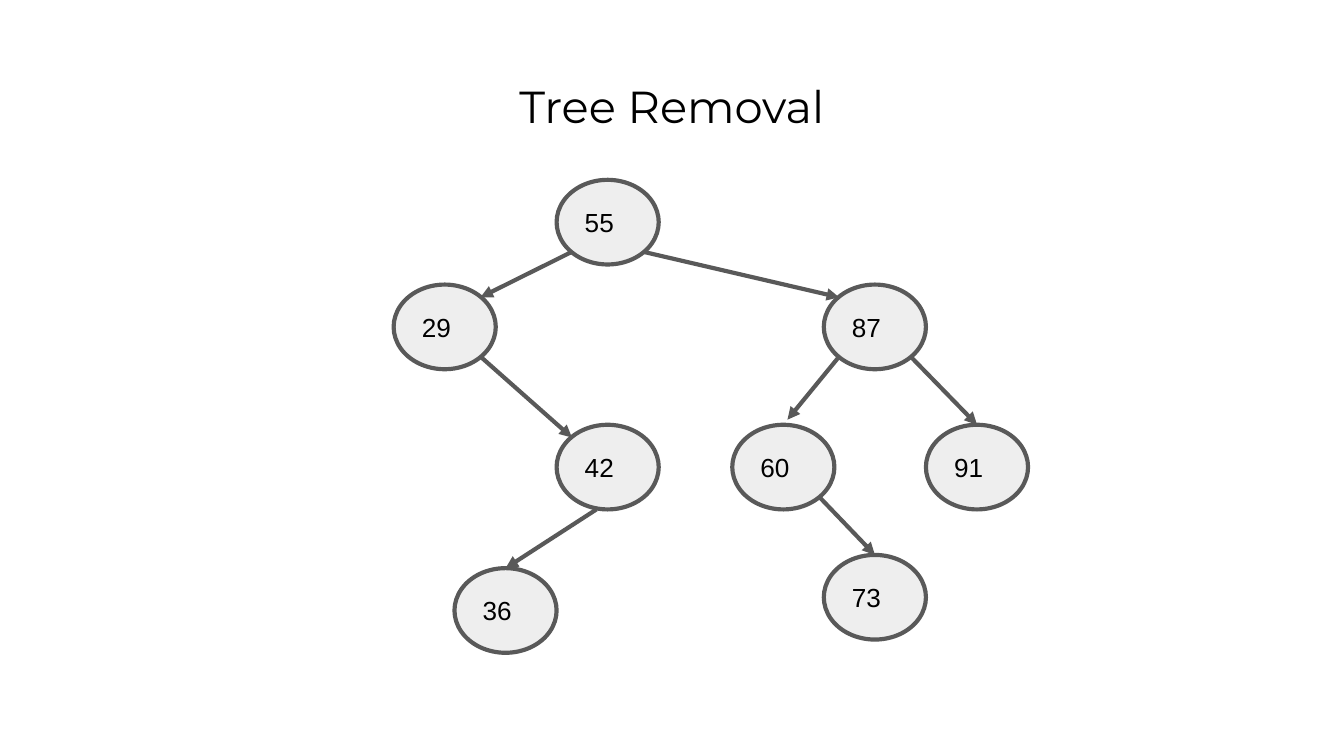
from dataclasses import dataclass

from lxml import etree
from pptx import Presentation
from pptx import util as u
from pptx.dml.color import RGBColor
from pptx.enum import shapes, text
from pptx.oxml.ns import qn

NODE_WIDTH, NODE_HEIGHT = 1.93, 1.6
INK, OUTLINE, FILL = "000000", "595959", "EEEEEE"

# Anchor points as fractions of a node's width and height
TOP = (0.5, 0)
TOP_LEFT, TOP_RIGHT = (0.15, 0.15), (0.85, 0.15)
BOTTOM_LEFT, BOTTOM_RIGHT = (0.15, 0.85), (0.85, 0.85)
BOTTOM_INNER = (0.39, 1)
ABOVE = (0.54, -0.06)


@dataclass(frozen=True)
class Node:
    value: int
    left: float
    top: float

    def point(self, anchor: tuple) -> tuple:
        return (u.Cm(self.left + anchor[0] * NODE_WIDTH),
                u.Cm(self.top + anchor[1] * NODE_HEIGHT))


@dataclass(frozen=True)
class Edge:
    parent: int
    leaves: tuple
    child: int
    enters: tuple


NODES = [
    Node(55, 10.52, 3.4),
    Node(29, 7.44, 5.38),
    Node(42, 10.52, 8.03),
    Node(36, 8.59, 10.74),
    Node(87, 15.57, 5.38),
    Node(60, 13.84, 8.03),
    Node(91, 17.5, 8.03),
    Node(73, 15.57, 10.49),
]

EDGES = [
    Edge(55, BOTTOM_LEFT, 29, TOP_RIGHT),
    Edge(29, BOTTOM_RIGHT, 42, TOP_LEFT),
    Edge(42, BOTTOM_INNER, 36, TOP),
    Edge(55, BOTTOM_RIGHT, 87, TOP_LEFT),
    Edge(87, BOTTOM_LEFT, 60, ABOVE),
    Edge(87, BOTTOM_RIGHT, 91, TOP),
    Edge(60, BOTTOM_RIGHT, 73, TOP),
]


def color(value: str) -> RGBColor:
    return RGBColor.from_string(value)


def write(shape, words: str, size: float, font: str, align, anchor) -> None:
    frame = shape.text_frame
    frame.text = words
    frame.word_wrap = True
    frame.vertical_anchor = anchor
    frame.margin_left = frame.margin_right = u.Cm(0.25)
    frame.margin_top = frame.margin_bottom = u.Cm(0.25)
    para = frame.paragraphs[0]
    para.alignment = align
    span = para.runs[0]
    span.font.size = u.Pt(size)
    span.font.name = font
    span.font.color.rgb = color(INK)


def set_outline(line) -> None:
    line.color.rgb = color(OUTLINE)
    line.width = u.Pt(2.25)


def draw_node(page, node: Node):
    circle = page.shapes.add_shape(
        shapes.MSO_SHAPE.FLOWCHART_CONNECTOR, u.Cm(node.left), u.Cm(node.top),
        u.Cm(NODE_WIDTH), u.Cm(NODE_HEIGHT))
    circle.shadow.inherit = False
    circle.fill.solid()
    circle.fill.fore_color.rgb = color(FILL)
    set_outline(circle.line)
    write(circle, str(node.value), 14, "Arial",
          text.PP_ALIGN.LEFT, text.MSO_ANCHOR.MIDDLE)
    return circle


def draw_edge(page, edge: Edge, nodes: dict, circles: dict) -> None:
    arrow = page.shapes.add_connector(
        shapes.MSO_CONNECTOR.STRAIGHT,
        *nodes[edge.parent].point(edge.leaves),
        *nodes[edge.child].point(edge.enters))
    if edge.enters == TOP:
        arrow.end_connect(circles[edge.child], 0)
    set_outline(arrow.line)
    etree.SubElement(arrow.line._get_or_add_ln(), qn("a:tailEnd"), type="triangle")
    etree.SubElement(arrow._element.spPr, qn("a:effectLst"))


def main() -> None:
    deck = Presentation()
    deck.slide_width, deck.slide_height = u.Cm(25.4), u.Cm(14.29)
    page = deck.slides.add_slide(deck.slide_layouts[6])

    # Title
    box = page.shapes.add_textbox(u.Cm(0.86), u.Cm(1.24), u.Cm(23.67), u.Cm(1.6))
    write(box, "Tree Removal", 24, "Montserrat",
          text.PP_ALIGN.CENTER, text.MSO_ANCHOR.TOP)

    # Tree
    nodes = {node.value: node for node in NODES}
    circles = {node.value: draw_node(page, node) for node in NODES}
    for edge in EDGES:
        draw_edge(page, edge, nodes, circles)

    deck.save("out.pptx")


if __name__ == "__main__":
    main()
